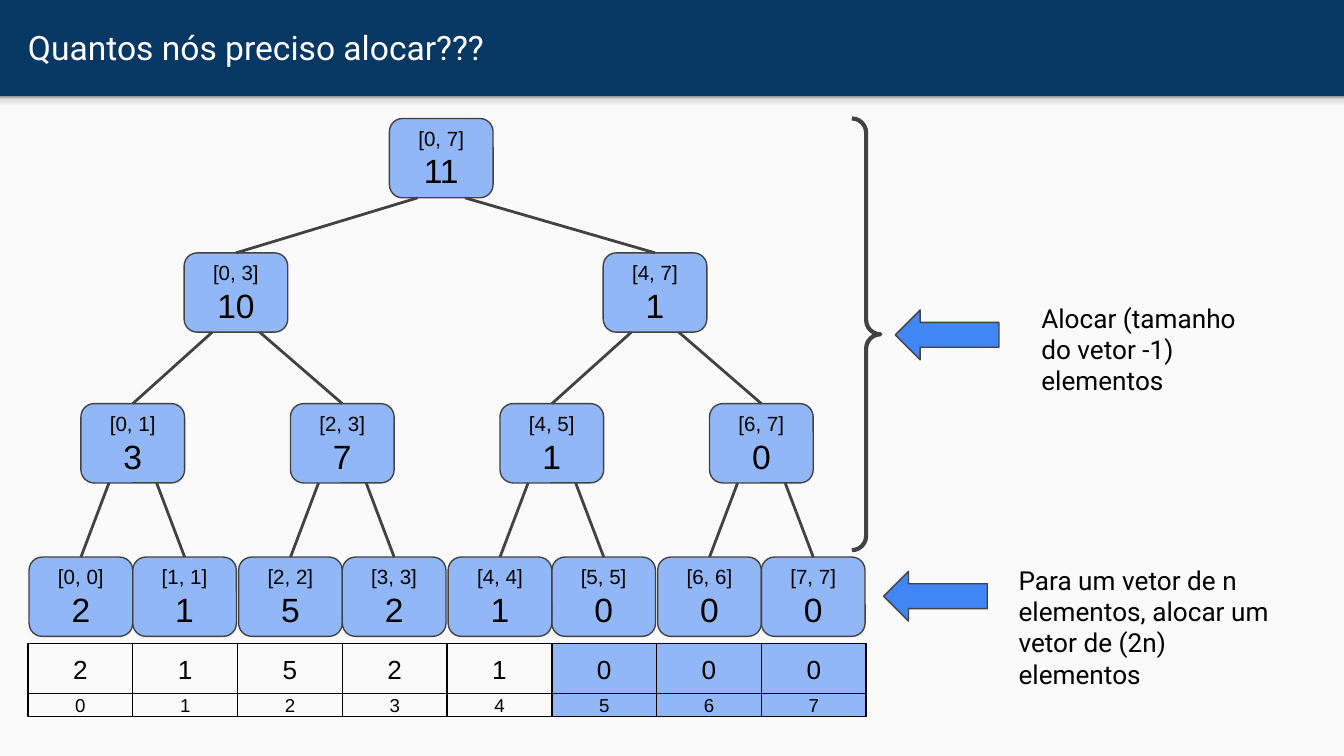
from copy import deepcopy

from pptx import Presentation
from pptx import util as u
from pptx.dml.color import RGBColor
from pptx.enum import shapes, text
from pptx.oxml.ns import qn
from pptx.oxml.xmlchemy import OxmlElement

NAVY = RGBColor(0x07, 0x37, 0x63)
PAPER = RGBColor(0xFA, 0xFA, 0xFA)
BLUE = RGBColor(0x42, 0x85, 0xF4)
GRAY = RGBColor(0x42, 0x42, 0x42)
BLACK = RGBColor(0, 0, 0)
WHITE = RGBColor(0xFF, 0xFF, 0xFF)
SHADE = [(0, RGBColor(0xF9, 0xF9, 0xF9)), (0.36, RGBColor(0xF9, 0xF9, 0xF9)),
         (0.8, RGBColor(0xDE, 0xDE, 0xDE)), (1, RGBColor(0x99, 0x99, 0x99))]

KIND = shapes.MSO_SHAPE
CENTER = text.PP_ALIGN.CENTER
MIDDLE = text.MSO_ANCHOR.MIDDLE

# Tree and array geometry, in centimetres
VALUES = [2, 1, 5, 2, 1, 0, 0, 0]
USED = 5
LEFT, CELL_W = 0.53, 1.98
NODE_W, NODE_H = 1.96, 1.5
LEVEL_TOPS = [2.24, 4.78, 7.63, 10.53]
LEVEL_SHIFTS = [-0.08, -0.03, 0, 0]
EDGE_OFFSET = 0.45


def set_text(sp, lines, font, color, align=None, anchor=None, margin=0.25):
    """Write (text, size) lines, one paragraph each."""
    tf = sp.text_frame
    frame = {"word_wrap": True, "margin_left": u.Cm(margin), "margin_right": u.Cm(margin),
             "margin_top": u.Cm(margin), "margin_bottom": u.Cm(margin),
             "vertical_anchor": anchor}
    for name, value in frame.items():
        setattr(tf, name, value)
    for i, (line, size) in enumerate(lines):
        p = tf.add_paragraph() if i else tf.paragraphs[0]
        p.alignment = align
        r = p.add_run()
        r.text = line
        for name, value in {"name": font, "size": u.Pt(size)}.items():
            setattr(r.font, name, value)
        r.font.color.rgb = color


def add_shape(s, kind, box, fill=None, line=None, width=0.75, alpha=None):
    sp = s.shapes.add_shape(kind, *map(u.Cm, box))
    sp.shadow.inherit = False
    if fill is None:
        sp.fill.background()
    else:
        sp.fill.solid()
        sp.fill.fore_color.rgb = fill
    if alpha:
        a = OxmlElement("a:alpha")
        a.set("val", str(alpha * 1000))
        sp._element.spPr.find(qn("a:solidFill"))[0].append(a)
    if line is None:
        sp.line.fill.background()
    else:
        sp.line.color.rgb = line
        sp.line.width = u.Pt(width)
    return sp


def add_label(s, box, line, size, color, anchor=text.MSO_ANCHOR.TOP):
    sp = s.shapes.add_textbox(*map(u.Cm, box))
    set_text(sp, [(line, size)], "Roboto", color, anchor=anchor)


def add_edge(s, x1, y1, x2, y2):
    c = s.shapes.add_connector(shapes.MSO_CONNECTOR.STRAIGHT, *map(u.Cm, (x1, y1, x2, y2)))
    c.line.color.rgb = GRAY
    c.line.width = u.Pt(1.5)
    c._element.spPr.append(OxmlElement("a:effectLst"))


def add_cell(s, col, top, height, value, size):
    fill = BLUE if col >= USED else None
    sp = add_shape(s, KIND.RECTANGLE, (LEFT + col * CELL_W, top, CELL_W, height),
                   fill, BLACK, alpha=57 if fill else None)
    set_text(sp, [(str(value), size)], "Arial", BLACK, CENTER, MIDDLE, margin=0)


def add_node(s, level, first, last):
    """Draw the node for a range of the array, after its subtrees; return its centre."""
    top = LEVEL_TOPS[level]
    if first == last:
        pair, side = divmod(first, 2)
        x = LEFT + CELL_W * (2 * pair + 1) + (side - 0.5) * NODE_W
    else:
        mid = (first + last) // 2
        children = [add_node(s, level + 1, first, mid), add_node(s, level + 1, mid + 1, last)]
        x = sum(children) / 2 + LEVEL_SHIFTS[level]
        for sign, child in zip((-1, 1), children):
            add_edge(s, x + sign * EDGE_OFFSET, top + NODE_H, child, LEVEL_TOPS[level + 1])
    sp = add_shape(s, KIND.ROUNDED_RECTANGLE, (x - NODE_W / 2, top, NODE_W, NODE_H),
                   BLUE, GRAY, alpha=57)
    lines = [(f"[{first}, {last}]", 11), (str(sum(VALUES[first:last + 1])), 18)]
    set_text(sp, lines, "Arial", BLACK, CENTER, MIDDLE)
    return x


def add_background(s):
    s.background.fill.solid()
    s.background.fill.fore_color.rgb = NAVY
    add_shape(s, KIND.RECTANGLE, (0, 1.82, 25.4, 12.47), PAPER)
    # Soft shade under the title bar
    sp = add_shape(s, KIND.RECTANGLE, (0, 1.82, 25.4, 0.3), PAPER)
    sp.fill.gradient()
    sp.fill.gradient_angle = 90
    stops = sp._element.spPr.find(qn("a:gradFill")).find(qn("a:gsLst"))
    for gs in list(stops):
        stops.append(deepcopy(gs))
    for stop, (position, color) in zip(sp.fill.gradient_stops, SHADE):
        stop.position = position
        stop.color.rgb = color


def main():
    prs = Presentation()
    prs.slide_width, prs.slide_height = u.Cm(25.4), u.Cm(14.29)
    s = prs.slides.add_slide(prs.slide_layouts[6])

    # Background and title
    add_background(s)
    add_label(s, (0.28, 0.05, 24.5, 1.68), "Quantos nós preciso alocar???", 18, WHITE, MIDDLE)

    # Array with its indices
    for i, value in enumerate(VALUES):
        add_cell(s, i, 12.17, 0.94, value, 14)
        add_cell(s, i, 13.11, 0.43, i, 10)

    # Segment tree
    add_node(s, 0, 0, len(VALUES) - 1)

    # Brace, arrows and remarks
    brace = add_shape(s, KIND.RIGHT_BRACE, (16.1, 2.24, 0.54, 8.16), line=GRAY, width=2.25)
    brace.adjustments[0] = 0.5
    for x, y in [(16.92, 5.86), (16.7, 10.8)]:
        add_shape(s, KIND.LEFT_ARROW, (x, y, NODE_W, 0.94), BLUE, GRAY)
    add_label(s, (19.43, 5.46, 4.8, 2.31), "Alocar (tamanho do vetor -1) elementos", 14, BLACK)
    add_label(s, (19, 10.41, 5.69, 2.9),
              "Para um vetor de n elementos, alocar um vetor de (2n) elementos", 14, BLACK)

    prs.save("out.pptx")


if __name__ == "__main__":
    main()
